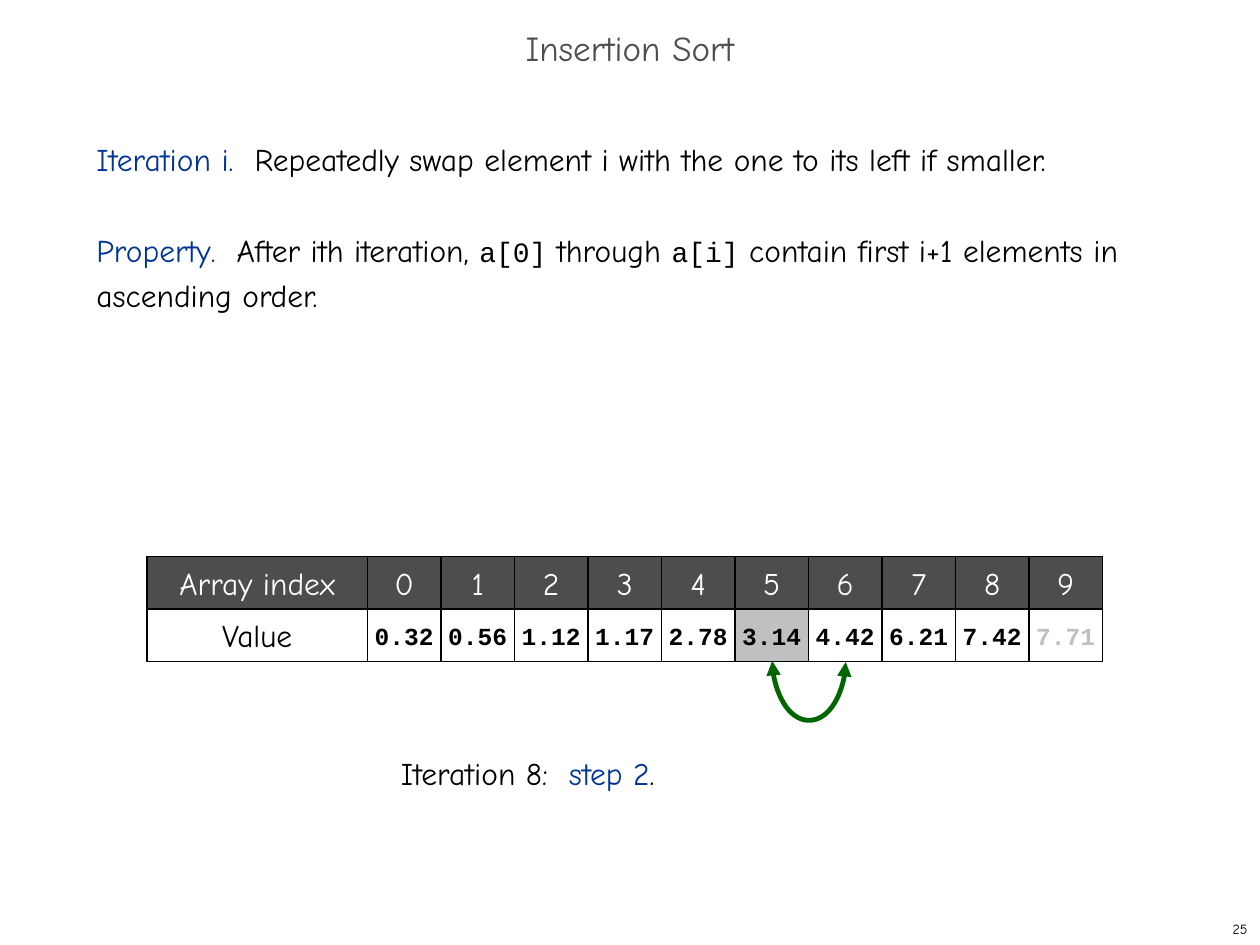
from lxml import etree
from pptx import Presentation
from pptx import util as u
from pptx.dml.color import RGBColor
from pptx.enum import shapes, text
from pptx.oxml.ns import qn

PX = 7620  # EMU per px, 120 px to the inch
COLORS = {
    "black": "000000", "white": "FFFFFF", "dark": "4D4D4D",
    "grey": "C0C0C0", "blue": "003399", "green": "006600",
}
BODY = {"name": "Comic Neue", "size": 18, "color": "black"}
TERM = {**BODY, "color": "blue"}
CODE = {**BODY, "name": "Courier New", "size": 16}
HEADER = {**BODY, "color": "white"}
VALUE = {**CODE, "size": 14, "bold": True}
FADED = {**VALUE, "color": "grey"}
TITLE = {**BODY, "size": 20, "color": "dark"}
NUMBER = {**BODY, "size": 8}

VALUES = ["0.32", "0.56", "1.12", "1.17", "2.78",
          "3.14", "4.42", "6.21", "7.42", "7.71"]
LEFT, TOP = 140, 530
LABEL_W, CELL_W, CELL_H = 210, 70, 50
ACTIVE, UNSORTED = 5, 9


def rgb(name):
    return RGBColor.from_string(COLORS[name])


class Deck:
    def __init__(self, width, height):
        self.prs = Presentation()
        self.prs.slide_width, self.prs.slide_height = width * PX, height * PX
        self.s = self.prs.slides.add_slide(self.prs.slide_layouts[6])

    def fill_text(self, tf, paragraphs, align, anchor, wrap, **spacing):
        """Fill a text frame; each paragraph is a list of (text, style) runs."""
        tf.word_wrap, tf.vertical_anchor = wrap, anchor
        for i, runs in enumerate(paragraphs):
            p = tf.add_paragraph() if i else tf.paragraphs[0]
            p.alignment = align
            for key, value in spacing.items():
                if i or key != "space_before":
                    setattr(p, key, value)
            for content, style in runs:
                r = p.add_run()
                r.text = content
                for key, value in style.items():
                    if key == "color":
                        r.font.color.rgb = rgb(value)
                    else:
                        setattr(r.font, key, u.Pt(value) if key == "size" else value)

    def textbox(self, box, paragraphs, align=text.PP_ALIGN.LEFT,
                anchor=text.MSO_ANCHOR.TOP, wrap=True, **spacing):
        sp = self.s.shapes.add_textbox(*(v * PX for v in box))
        self.fill_text(sp.text_frame, paragraphs, align, anchor, wrap, **spacing)

    def cell(self, box, content, style, fill):
        sp = self.s.shapes.add_shape(shapes.MSO_SHAPE.RECTANGLE, *(v * PX for v in box))
        sp.shadow.inherit = False
        sp.fill.solid()
        sp.fill.fore_color.rgb = rgb(fill)
        sp.line.color.rgb = rgb("black")
        sp.line.width = u.Pt(0.75)
        self.fill_text(sp.text_frame, [[(content, style)]], text.PP_ALIGN.CENTER,
                       text.MSO_ANCHOR.MIDDLE, False)

    def swap_arrow(self, x1, x2, y, depth):
        """Draw a two-headed U that hangs below y between x1 and x2."""
        mid, half = (x1 + x2) // 2, (x2 - x1) // 2
        c = self.s.shapes.add_connector(
            shapes.MSO_CONNECTOR.CURVE,
            mid * PX, (y - half) * PX, (mid + 1) * PX, (y + half) * PX)
        c.line.color.rgb = rgb("green")
        c.line.width = u.Pt(2.75)
        props = c._element.spPr
        xfrm = props.find(qn("a:xfrm"))
        xfrm.set("rot", "16200000")
        xfrm.set("flipH", "1")
        # The box is 1 px wide before it is turned, so the bend is depth times 100%.
        guides = props.find(qn("a:prstGeom")).find(qn("a:avLst"))
        etree.SubElement(guides, qn("a:gd"), name="adj1", fmla=f"val {depth * 100000}")
        ln = props.find(qn("a:ln"))
        for end in ("a:headEnd", "a:tailEnd"):
            etree.SubElement(ln, qn(end), type="triangle")
        etree.SubElement(props, qn("a:effectLst"))


def main():
    deck = Deck(1200, 900)
    deck.textbox((0, 20, 1200, 60), [[("Insertion Sort", TITLE)]],
                 text.PP_ALIGN.CENTER, text.MSO_ANCHOR.MIDDLE, line_spacing=0.7)
    deck.textbox((80, 120, 1060, 710), [
        [("Iteration i.  ", TERM),
         ("Repeatedly swap element i with the one to its left if smaller.", BODY)],
        [("Property.  ", TERM), ("After ith iteration, ", BODY), ("a[0]", CODE),
         (" through ", BODY), ("a[i]", CODE),
         (" contain first i+1 elements in ascending order.", BODY)],
    ], line_spacing=u.Pt(26), space_before=u.Pt(26))

    values_top = TOP + CELL_H
    deck.cell((LEFT, TOP, LABEL_W, CELL_H), "Array index", HEADER, "dark")
    deck.cell((LEFT, values_top, LABEL_W, CELL_H), "Value", BODY, "white")
    for i, value in enumerate(VALUES):
        x = LEFT + LABEL_W + i * CELL_W
        deck.cell((x, TOP, CELL_W, CELL_H), str(i), HEADER, "dark")
        deck.cell((x, values_top, CELL_W, CELL_H), value,
                  FADED if i == UNSORTED else VALUE,
                  "grey" if i == ACTIVE else "white")

    center = LEFT + LABEL_W + ACTIVE * CELL_W + CELL_W // 2
    deck.swap_arrow(center, center + CELL_W, values_top + CELL_H, 57)

    deck.textbox((370, 712, 490, 48),
                 [[("Iteration 8:  ", BODY), ("step 2", TERM), (".", BODY)]])
    deck.textbox((950, 870, 250, 30), [[("25", NUMBER)]],
                 text.PP_ALIGN.RIGHT, text.MSO_ANCHOR.MIDDLE, False)
    deck.prs.save("out.pptx")


if __name__ == "__main__":
    main()
